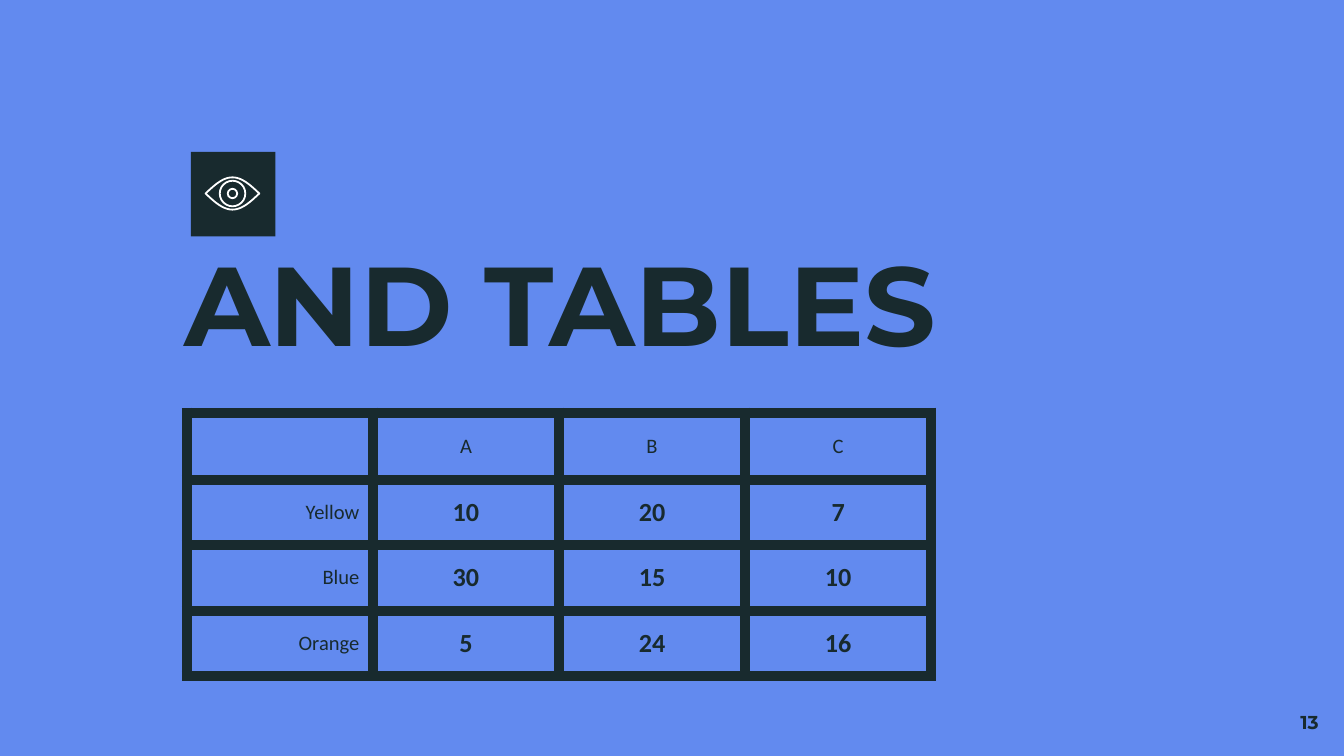
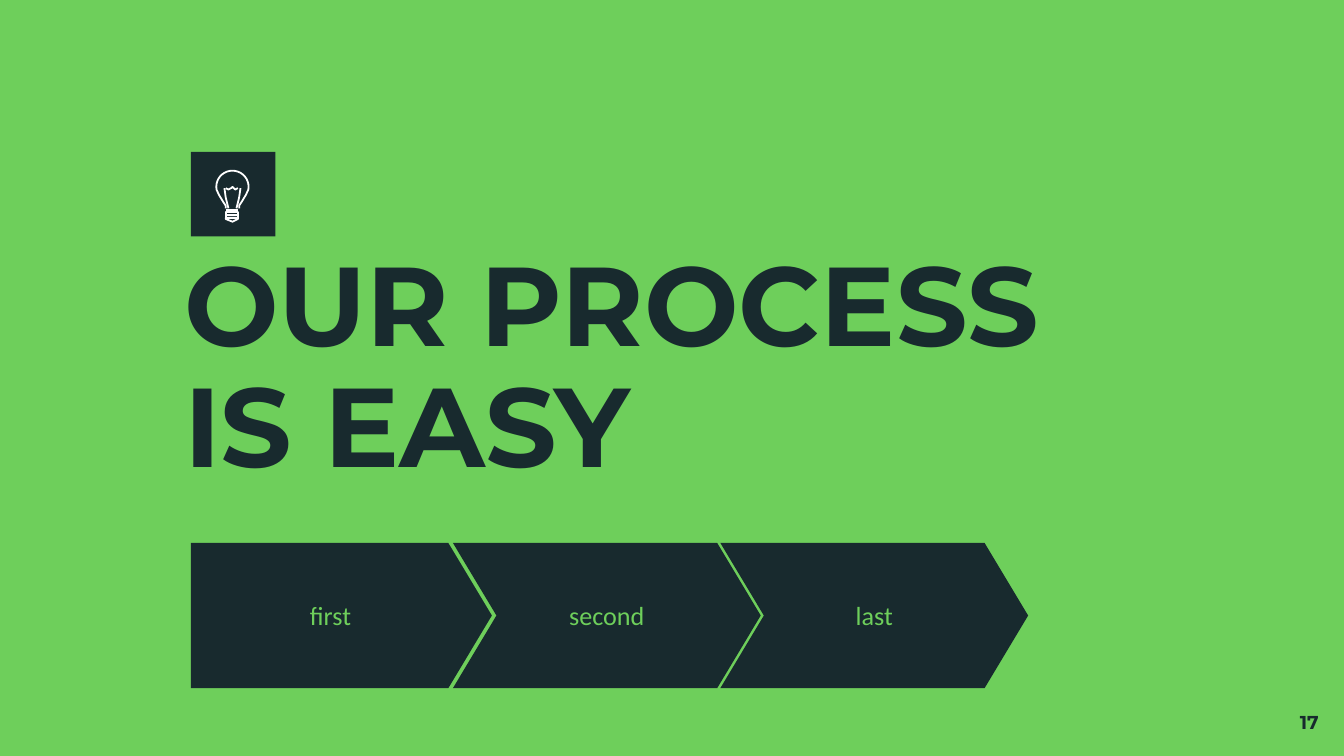
import math

from lxml import etree
from pptx import Presentation
from pptx.dml.color import RGBColor
from pptx.enum.shapes import MSO_CONNECTOR, MSO_SHAPE
from pptx.enum.text import MSO_ANCHOR, MSO_AUTO_SIZE, PP_ALIGN
from pptx.oxml.ns import qn
from pptx.util import Inches, Pt

RECT, OVAL = MSO_SHAPE.RECTANGLE, MSO_SHAPE.OVAL
PENTAGON, CHEVRON = MSO_SHAPE.PENTAGON, MSO_SHAPE.CHEVRON
STRAIGHT = MSO_CONNECTOR.STRAIGHT
TOP, MIDDLE = MSO_ANCHOR.TOP, MSO_ANCHOR.MIDDLE
LEFT, CENTER, RIGHT = PP_ALIGN.LEFT, PP_ALIGN.CENTER, PP_ALIGN.RIGHT
NO_AUTOFIT = MSO_AUTO_SIZE.NONE

DARK = RGBColor(0x18, 0x2A, 0x2E)
BLUE = RGBColor(0x62, 0x8A, 0xEF)
GREEN = RGBColor(0x6E, 0xCF, 0x5B)
WHITE = RGBColor(0xFF, 0xFF, 0xFF)
HEADING, BODY = "Montserrat", "Calibri"
ICON_LINE = Pt(0.96)
ICON_X, ICON_Y = 1.73, 1.44
TABLE_W, TABLE_H, HEADER_H = 5.54, 1.96, 0.5

ROWS = [
    ["", "A", "B", "C"],
    ["Yellow", "10", "20", "7"],
    ["Blue", "30", "15", "10"],
    ["Orange", "5", "24", "16"],
]
STEPS = [
    ("first", PENTAGON, 1.42, 2.24),
    ("second", CHEVRON, 3.37, 2.29),
    ("last", CHEVRON, 5.36, 2.29),
]


def box(x, y, w, h):
    return Inches(x), Inches(y), Inches(w), Inches(h)


def style(p, text, size, font, color, align, bold):
    p.text = text
    p.alignment = align
    p.font.size = Pt(size)
    p.font.name = font
    p.font.bold = bold
    p.font.color.rgb = color


def write(tf, text, size, font, color, align, bold=False, anchor=TOP):
    tf.word_wrap = True
    tf.auto_size = NO_AUTOFIT
    tf.vertical_anchor = anchor
    tf.margin_left = tf.margin_right = Inches(0.1)
    tf.margin_top = tf.margin_bottom = Inches(0.1)
    style(tf.paragraphs[0], text, size, font, color, align, bold)


def add_solid(slide, kind, x, y, w, h):
    sp = slide.shapes.add_shape(kind, *box(x, y, w, h))
    sp.shadow.inherit = False
    sp.fill.solid()
    sp.fill.fore_color.rgb = DARK
    sp.line.fill.background()
    return sp


def outline(sp):
    sp.shadow.inherit = False
    sp.fill.background()
    sp.line.color.rgb = WHITE
    sp.line.width = ICON_LINE


def add_outline(slide, kind, x, y, w, h):
    outline(slide.shapes.add_shape(kind, *box(x, y, w, h)))


def add_path(slide, points, close=False):
    pts = [(Inches(x), Inches(y)) for x, y in points]
    builder = slide.shapes.build_freeform(*pts[0])
    builder.add_line_segments(pts[1:], close=close)
    outline(builder.convert_to_shape())


def add_line(slide, x1, y1, x2, y2):
    line = slide.shapes.add_connector(
        STRAIGHT, Inches(x1), Inches(y1), Inches(x2), Inches(y2))
    line.line.color.rgb = WHITE
    line.line.width = ICON_LINE
    etree.SubElement(line._element.spPr, qn("a:effectLst"))


def add_eye(slide):
    lid = [(t / 12, 0.12 * math.cos(math.pi * t / 24)) for t in range(-12, 13)]
    upper = [(ICON_X + 0.2 * t, ICON_Y - h) for t, h in lid]
    lower = [(ICON_X + 0.2 * t, ICON_Y + h) for t, h in reversed(lid)]
    add_path(slide, upper + lower[1:-1], close=True)
    for d in (0.07, 0.19):
        add_outline(slide, OVAL, ICON_X - d / 2, ICON_Y - d / 2, d, d)


def add_bulb(slide):
    neck = [(0.05, 1.55), (0.05, 1.53), (0.07, 1.5), (0.1, 1.45)]
    angles = [math.radians(d) for d in range(190, -11, -10)]
    glass = [(ICON_X + 0.12 * math.cos(a), 1.39 - 0.12 * math.sin(a))
             for a in angles]
    left = [(ICON_X - dx, y) for dx, y in neck]
    right = [(ICON_X + dx, y) for dx, y in reversed(neck)]
    add_path(slide, left + glass + right)
    for side in (-1, 1):
        add_path(slide, [(ICON_X + side * dx, y)
                         for dx, y in ((0.06, 1.4), (0.05, 1.47), (0.03, 1.55))])
    add_path(slide, [(1.68, 1.4), (1.7, 1.41), (1.72, 1.4), (1.73, 1.39),
                     (1.74, 1.4), (1.75, 1.41), (1.77, 1.4)])
    add_line(slide, 1.68, 1.56, 1.77, 1.56)
    for y in (1.58, 1.6):
        add_outline(slide, RECT, 1.68, y, 0.09, 0.02)
    add_path(slide, [(1.68, 1.62), (1.68, 1.63), (1.73, 1.65),
                     (1.77, 1.63), (1.77, 1.62)], close=True)


def add_slide(prs, background, title, number, add_icon):
    slide = prs.slides.add_slide(prs.slide_layouts[5])
    slide.background.fill.solid()
    slide.background.fill.fore_color.rgb = background
    add_solid(slide, RECT, 1.42, 1.13, 0.63, 0.63)
    add_icon(slide)
    sp = slide.shapes.title
    sp.left, sp.top, sp.width, sp.height = box(1.27, 1.76, 7.45, 2.11)
    write(sp.text_frame, title, 60, HEADING, DARK, LEFT, bold=True)
    sp.text_frame.paragraphs[0].line_spacing = 0.9
    sp = slide.shapes.add_textbox(*box(9.31, 5.19, 0.6, 0.43))
    write(sp.text_frame, number, 10, HEADING, DARK, RIGHT, bold=True)
    return slide


def set_borders(cell, color, width):
    tcPr = cell._tc.get_or_add_tcPr()
    for side in ("a:lnL", "a:lnR", "a:lnT", "a:lnB"):
        ln = etree.SubElement(tcPr, qn(side), w=str(width))
        fill = etree.SubElement(ln, qn("a:solidFill"))
        etree.SubElement(fill, qn("a:srgbClr"), val=str(color))


def add_data_table(slide):
    frame = slide.shapes.add_table(
        len(ROWS), len(ROWS[0]), *box(1.39, 3.07, TABLE_W, TABLE_H))
    table = frame.table
    table.first_row = table.horz_banding = False
    for col in table.columns:
        col.width = Inches(TABLE_W / len(ROWS[0]))
    row_h = (TABLE_H - HEADER_H) / (len(ROWS) - 1)
    for i, values in enumerate(ROWS):
        table.rows[i].height = Inches(row_h if i else HEADER_H)
        for j, value in enumerate(values):
            cell = table.cell(i, j)
            set_borders(cell, DARK, Pt(6))
            cell.fill.background()
            cell.vertical_anchor = MIDDLE
            cell.margin_left = cell.margin_right = Inches(0.1)
            cell.margin_top = cell.margin_bottom = Inches(0.07)
            is_value = i > 0 and j > 0
            style(cell.text_frame.paragraphs[0], value, 14 if is_value else 11,
                  BODY, DARK, CENTER if j else RIGHT, is_value)


def add_step(slide, text, kind, x, w):
    sp = add_solid(slide, kind, x, 4.04, w, 1.08)
    sp.adjustments[0] = 0.3
    write(sp.text_frame, text, 14, BODY, GREEN, CENTER, anchor=MIDDLE)


def main():
    prs = Presentation()
    prs.slide_width = Inches(10)
    prs.slide_height = prs.slide_width * 9 // 16
    slide = add_slide(prs, BLUE, "AND TABLES", "13", add_eye)
    add_data_table(slide)
    slide = add_slide(prs, GREEN, "OUR PROCESS IS EASY", "17", add_bulb)
    for step in STEPS:
        add_step(slide, *step)
    prs.save("out.pptx")


if __name__ == "__main__":
    main()
